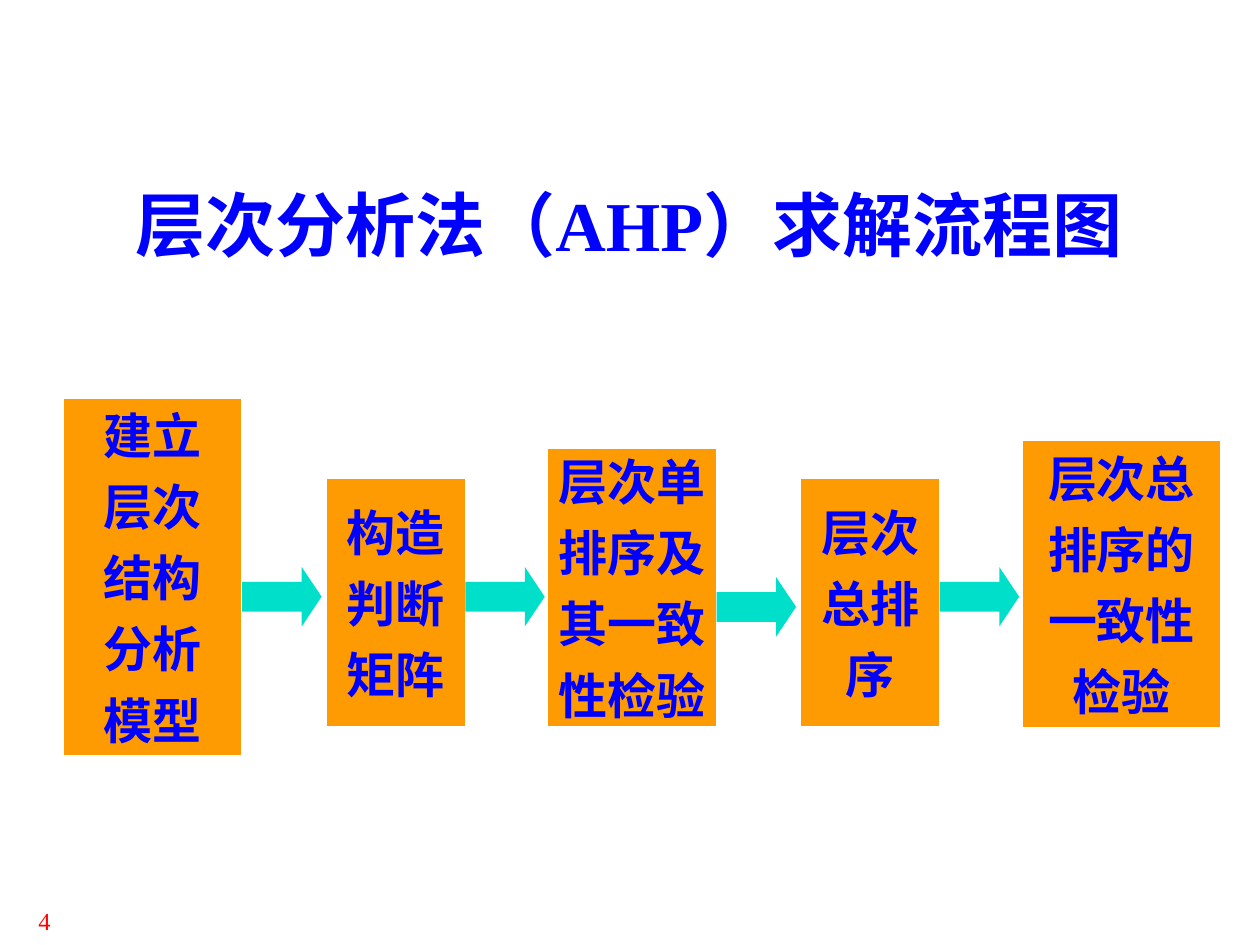
from pptx import Presentation
from pptx.dml.color import RGBColor
from pptx.enum.shapes import MSO_SHAPE
from pptx.enum.text import MSO_ANCHOR, PP_ALIGN
from pptx.util import Pt

BLUE = RGBColor(0x00, 0x00, 0xFF)
RED = RGBColor(0xFF, 0x00, 0x00)
ORANGE = RGBColor(0xFE, 0x9B, 0x03)
TEAL = RGBColor(0x00, 0xDF, 0xCA)
WHITE = RGBColor(0xFF, 0xFF, 0xFF)
FONT = "Times New Roman"

TITLE = "层次分析法（AHP）求解流程图"
PAGE_NUMBER = "4"
STEPS = [
    (["建立", "层次", "结构", "分析", "模型"], (36.4, 227.7, 102, 204.3)),
    (["构造", "判断", "矩阵"], (186.5, 273.5, 79.4, 142)),
    (["层次单", "排序及", "其一致", "性检验"], (312.9, 256.3, 96.6, 159.2)),
    (["层次", "总排", "序"], (457.6, 273.5, 79.4, 142)),
    (["层次总", "排序的", "一致性", "检验"], (584.2, 251.7, 113.3, 164.4)),
]
ARROW_TOPS = [324, 324, 329.8, 324]
ARROW_WIDTH, ARROW_HEIGHT = 45.4, 34


def add_line(paragraph, text, size, color, bold, align):
    paragraph.alignment = align
    run = paragraph.add_run()
    run.text = text
    run.font.name = FONT
    run.font.size = Pt(size)
    run.font.bold = bold
    run.font.color.rgb = color


def add_block(slide, preset, box, color):
    block = slide.shapes.add_shape(preset, *map(Pt, box))
    block.shadow.inherit = False
    block.fill.solid()
    block.fill.fore_color.rgb = color
    return block


def add_step(slide, lines, box):
    step = add_block(slide, MSO_SHAPE.RECTANGLE, box, ORANGE)
    step.line.color.rgb = WHITE
    step.line.width = Pt(0.75)
    frame = step.text_frame
    frame.word_wrap = False
    frame.vertical_anchor = MSO_ANCHOR.MIDDLE
    for index, text in enumerate(lines):
        paragraph = frame.add_paragraph() if index else frame.paragraphs[0]
        paragraph.space_before = Pt(7 if index else 0)
        add_line(paragraph, text, 28, BLUE, True, PP_ALIGN.CENTER)


def add_arrow(slide, left, top):
    arrow = add_block(slide, MSO_SHAPE.RIGHT_ARROW,
                      (left, top, ARROW_WIDTH, ARROW_HEIGHT), TEAL)
    arrow.line.fill.background()
    arrow.adjustments[1] = 0.334


def main():
    deck = Presentation()
    deck.slide_width, deck.slide_height = Pt(720), Pt(540)
    slide = deck.slides.add_slide(deck.slide_layouts[5])

    title = slide.shapes.title
    title.left, title.top, title.width, title.height = map(Pt, (48.2, 104.4, 622.8, 63.4))
    title.text_frame.vertical_anchor = MSO_ANCHOR.TOP
    heading = title.text_frame.paragraphs[0]
    heading.line_spacing = 0.93
    add_line(heading, TITLE, 40, BLUE, True, PP_ALIGN.CENTER)

    number = slide.shapes.add_textbox(Pt(0), Pt(514), Pt(36), Pt(20))
    number.text_frame.word_wrap = True
    add_line(number.text_frame.paragraphs[0], PAGE_NUMBER, 14, RED, False, PP_ALIGN.RIGHT)

    for lines, box in STEPS:
        add_step(slide, lines, box)
    for (_, (left, _, width, _)), top in zip(STEPS, ARROW_TOPS):
        add_arrow(slide, left + width, top)

    deck.save("out.pptx")


if __name__ == "__main__":
    main()
